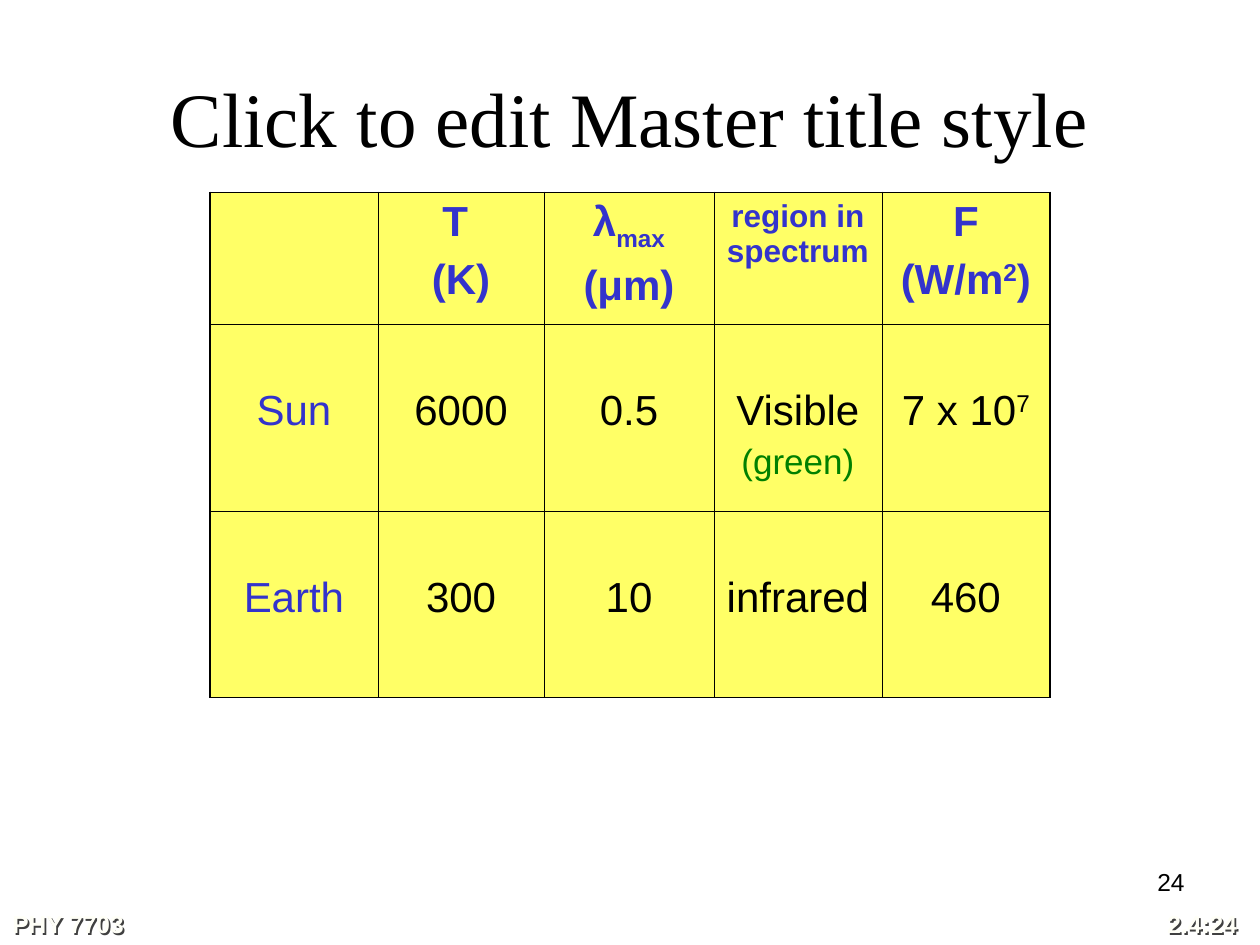
from lxml.etree import SubElement
from pptx import Presentation
from pptx.dml.color import RGBColor
from pptx.enum.text import MSO_ANCHOR, PP_ALIGN
from pptx.oxml.ns import qn
from pptx.util import Pt

HUES = {"ink": "000000", "blue": "3333CC", "green": "008000",
        "cell": "FFFF66", "pale": "FFFFF7", "shade": "404040"}
LEFT, MID, RIGHT = PP_ALIGN.LEFT, PP_ALIGN.CENTER, PP_ALIGN.RIGHT


class Deck:
    """Hold the style and the current slide, and draw each kind of element."""

    def __init__(self, slide, font="Arial"):
        self.slide, self.font = slide, font

    def para(self, para, runs, align=MID, hue="ink", size=24, bold=False, font=None):
        para.alignment = align
        para.space_before = Pt(size / 4)
        form = {"name": font or self.font, "size": Pt(size), "bold": bold}
        for text, base in runs:
            run = para.add_run()
            run.text = text
            for key, val in form.items():
                setattr(run.font, key, val)
            run.font.color.rgb = RGBColor.from_string(HUES[hue])
            if base:
                run.font._element.set("baseline", str(base * 1000))

    def text(self, box, words, anchor=MSO_ANCHOR.TOP, shade=False, **form):
        shape = self.slide.shapes.add_textbox(*map(Pt, box))
        frame = shape.text_frame
        frame.word_wrap = True
        frame.vertical_anchor = anchor
        self.para(frame.paragraphs[0], [(words, 0)], **form)
        if shade:
            self.shade(shape)

    def shade(self, shape):
        glow = SubElement(shape._element.spPr, qn("a:effectLst"))
        cast = SubElement(glow, qn("a:outerShdw"), dist=str(Pt(1.4)),
                          dir="2700000", algn="ctr", rotWithShape="0")
        SubElement(cast, qn("a:srgbClr"), val=HUES["shade"])

    def edge(self, cell, side, width):
        line = SubElement(cell._tc.get_or_add_tcPr(), qn("a:ln" + side), w=str(Pt(width)))
        fill = SubElement(line, qn("a:solidFill"))
        SubElement(fill, qn("a:srgbClr"), val=HUES["ink"])

    def table(self, left, top, cols, rows, data, thick=1.08, thin=0.45):
        size = (left, top, sum(cols), sum(rows))
        grid = self.slide.shapes.add_table(len(rows), len(cols), *map(Pt, size)).table
        grid.first_row = grid.horz_banding = False
        for col, width in zip(grid.columns, cols):
            col.width = Pt(width)
        for row, high in zip(grid.rows, rows):
            row.height = Pt(high)
        for y, line in enumerate(data):
            for x, paras in enumerate(line):
                cell = grid.cell(y, x)
                outer = {"L": x == 0, "R": x == len(cols) - 1,
                         "T": y == 0, "B": False}
                for side, out in outer.items():
                    self.edge(cell, side, thick if out else thin)
                cell.fill.solid()
                cell.fill.fore_color.rgb = RGBColor.from_string(HUES["cell"])
                cell.margin_top = Pt(36.2 if y else 3.6)
                frame = cell.text_frame
                for i, (runs, form) in enumerate(paras):
                    para = frame.add_paragraph() if i else frame.paragraphs[0]
                    self.para(para, runs, **form)


def item(*runs, **form):
    return [(run, 0) if isinstance(run, str) else run for run in runs], form


def main():
    show = Presentation()
    show.slide_width, show.slide_height = Pt(720), Pt(540)
    deck = Deck(show.slides.add_slide(show.slide_layouts[6]))

    deck.text((36, 21.6, 648, 90), "Click to edit Master title style",
              anchor=MSO_ANCHOR.MIDDLE, size=44, font="Times New Roman")
    deck.text((516, 492, 168, 37.5), "24", align=RIGHT, size=14)
    for left, words, align in ((0, "PHY 7703", LEFT), (486, "2.4:24", RIGHT)):
        deck.text((left, 516, 228, 24), words, align=align, size=14,
                  hue="pale", bold=True, shade=True)

    head = {"hue": "blue", "bold": True}
    data = [
        [[],
         [item("T ", **head), item("(K)", **head)],
         [item("λ", ("max", -25), **head), item("(μm)", **head)],
         [item("region in spectrum", size=18, **head)],
         [item("F", **head), item("(W/m", ("2", 30), ")", **head)]],
        [[item("Sun", hue="blue")], [item("6000")], [item("0.5")],
         [item("Visible"), item("(green)", size=20, hue="green")],
         [item("7 x 10", ("7", 30))]],
        [[item("Earth", hue="blue")], [item("300")], [item("10")],
         [item("infrared")], [item("460")]],
    ]
    deck.table(120, 110, (96, 95, 97, 96, 96), (75.2, 106.8, 106.8), data)
    show.save("out.pptx")


if __name__ == "__main__":
    main()
